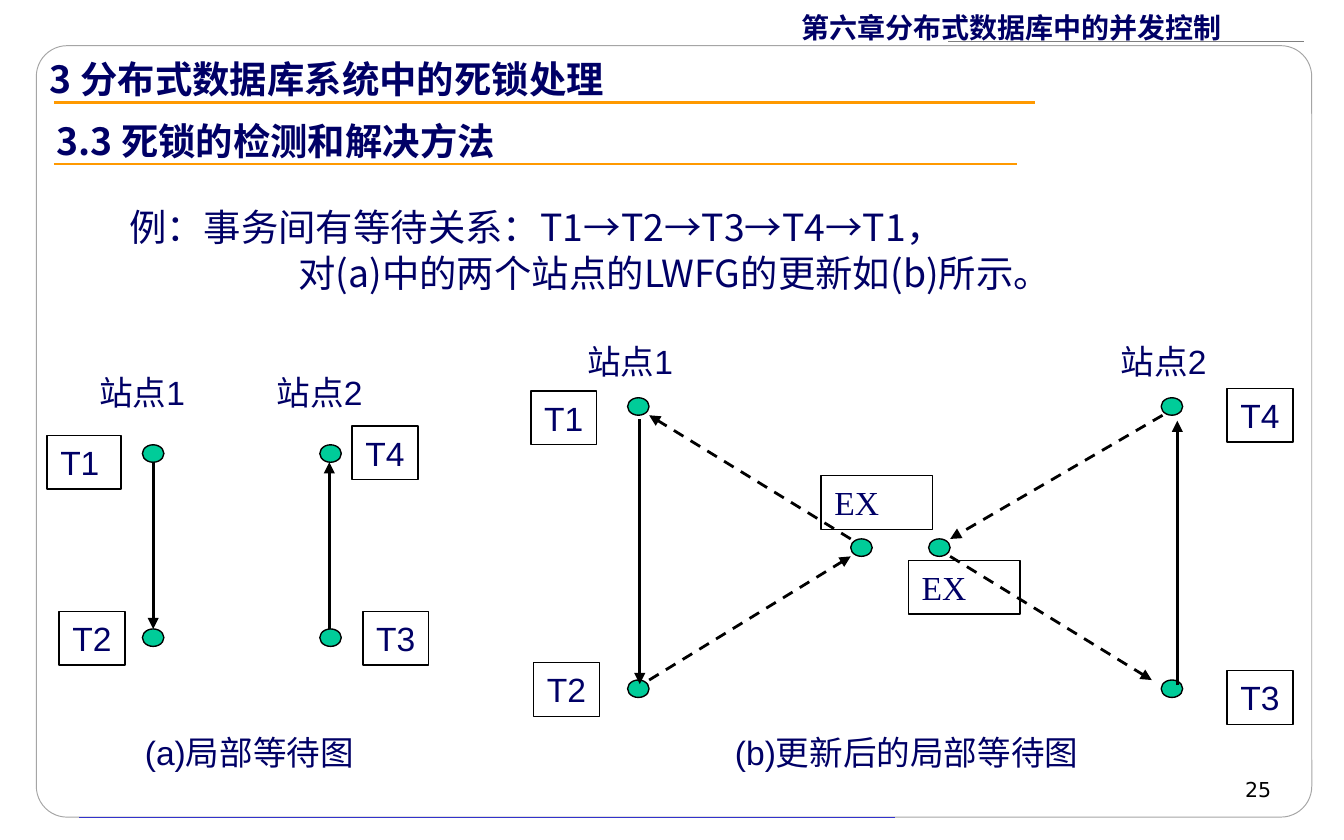
from lxml.etree import SubElement as Sub
from pptx import Presentation
from pptx.dml.color import RGBColor as RGB
from pptx.enum.dml import MSO_LINE as Dash
from pptx.enum.shapes import MSO_CONNECTOR as Conn, MSO_SHAPE as Form
from pptx.enum.text import MSO_ANCHOR as Anchor, MSO_AUTO_SIZE as Auto, PP_ALIGN as Align
from pptx.oxml.ns import qn
from pptx.util import Inches, Pt

# The grid has 100 columns and 62.5 rows of a tenth of an inch
COLS, ROWS = 100, 62.5
DOT_W, DOT_H = 1.6, 1.3
BOX_W, BOX_H = 4.9, 4
NOTO, ARIAL, TIMES = "Noto Sans CJK SC", "Arial", "Times New Roman"
HUE = {"navy": "000066", "black": "000000", "dot": "00CC99", "rule": "FF9900",
       "frame": "A5A5A5", "gray": "7F7F7F", "foot": "3333CC", "white": "FFFFFF"}
HEAD = {"size": Pt(20), "bold": True, "name": NOTO}
LEAD = {"size": Pt(20), "bold": False, "name": NOTO}
LABEL = {"size": Pt(18), "name": ARIAL}
EXT = {"size": Pt(18), "name": TIMES}


def cell(n):
    return Inches(n / 10)


def tint(name):
    return RGB.from_string(HUE[name])


def put(item, spot):
    for key, val in zip(("left", "top", "width", "height"), spot):
        setattr(item, key, cell(val))


def write(par, text, form, hue="navy"):
    run = par.add_run()
    run.text = text
    for key, val in form.items():
        setattr(run.font, key, val)
    run.font.color.rgb = tint(hue)
    Sub(run.font._element, qn("a:ea")).set("typeface", NOTO)


def setup(item, wrap=True, side=1):
    frame = item.text_frame
    form = {"word_wrap": wrap, "auto_size": Auto.NONE, "vertical_anchor": Anchor.TOP,
            "margin_left": cell(side), "margin_right": cell(side),
            "margin_top": cell(0.5), "margin_bottom": cell(0.5)}
    for key, val in form.items():
        setattr(frame, key, val)
    par = frame.paragraphs[0]
    par.alignment = Align.LEFT
    return par


def note(page, spot, text, form, hue="navy", wrap=True, side=1):
    item = page.shapes.add_textbox(*map(cell, spot))
    par = setup(item, wrap, side)
    write(par, text, form, hue)
    return par


def shape(page, kind, spot, fill=None, line="black", wide=0.75):
    item = page.shapes.add_shape(kind, *map(cell, spot))
    item.shadow.inherit = False
    if fill:
        item.fill.solid()
        item.fill.fore_color.rgb = tint(fill)
    else:
        item.fill.background()
    item.line.color.rgb = tint(line)
    item.line.width = Pt(wide)
    return item


def dot(page, x, y):
    shape(page, Form.OVAL, (x, y, DOT_W, DOT_H), "dot")


def box(page, x, y, text, form=LABEL, wide=BOX_W):
    item = shape(page, Form.RECTANGLE, (x, y, wide, BOX_H))
    write(setup(item, wide > BOX_W), text, form)


def rule(page, ends, hue="black", wide=1.5):
    item = page.shapes.add_connector(Conn.STRAIGHT, *map(cell, ends))
    item.line.color.rgb = tint(hue)
    item.line.width = Pt(wide)
    Sub(item._element.spPr, qn("a:effectLst"))
    return item


def arrow(page, ends, dash=False):
    item = rule(page, ends)
    if dash:
        item.line.dash_style = Dash.DASH
    Sub(item.line._get_or_add_ln(), qn("a:tailEnd")).set("type", "triangle")


def frame(page):
    # Rounded frame behind everything, header, footer and page number
    item = shape(page, Form.ROUNDED_RECTANGLE, (2.7, 3.4, 94.9, 57.4), "white", "frame", 0.5)
    item.adjustments[0] = 0.04
    page.shapes._spTree.insert(2, item._element)
    rule(page, (5.9, 60.8, 66.6, 60.8), "foot", 0.25)
    form = {"size": Pt(15), "bold": True}
    par = note(page, (58.7, 0.3, 37.8, 3.4), "第六章", {**form, "name": NOTO}, side=0.9)
    write(par, "分布式数据库中的并发控制", {**form, "name": TIMES})
    rule(page, (97, 3.1, 70.5, 3.1), "gray", 0.75)
    par = note(page, (70.5, 57.3, 25, 2.3), "25",
               {"size": Pt(11), "name": "DejaVu Sans"}, "black", side=0.9)
    par.alignment = Align.RIGHT


def heads(page):
    title = page.shapes.title
    put(title, (2.7, 3.7, 79.9, 4.4))
    write(setup(title), "3 分布式数据库系统中的死锁处理", HEAD)
    note(page, (3.2, 8.3, 79.9, 4.4), "3.3 死锁的检测和解决方法", HEAD)
    for end, y in ((77, 7.6), (75.7, 12.2)):
        rule(page, (4, y, end, y), "rule")


def lead(page):
    # Example text, the second line set further in
    body = page.placeholders[1]
    put(body, (6.7, 15.1, 86.6, 8.7))
    first = setup(body, side=0.9)
    lines = ((first, "例：事务间有等待关系：T1→T2→T3→T4→T1，", 2, 0),
             (body.text_frame.add_paragraph(), "对(a)中的两个站点的LWFG的更新如(b)所示。", 14.6, 3))
    for par, text, left, gap in lines:
        prop = par._p.get_or_add_pPr()
        prop.set("marL", str(cell(left)))
        prop.set("indent", "0")
        Sub(prop, qn("a:buNone"))
        par.line_spacing, par.space_before = 0.9, Pt(gap)
        write(par, text, LEAD)


def local(page):
    # (a) Two separate sites
    top, low = 33.1, 46.8
    for x, name in ((10.6, "站点1"), (23.8, "站点2")):
        for y in (top, low):
            dot(page, x, y)
        note(page, (x - 4.2, 27.2, 9, 4), name, LABEL, wrap=False)
    arrow(page, (11.4, top + DOT_H, 11.4, low))
    arrow(page, (24.5, low, 24.5, top + DOT_H))
    box(page, 3.5, 32.4, "T1", wide=5.5)
    for x, y, name in ((4.4, 45.5, "T2"), (26.2, 31.7, "T4"), (27, 45.5, "T3")):
        box(page, x, y, name)
    note(page, (9.8, 54, 19.7, 4), "(a)局部等待图", LABEL)


def joint(page):
    # (b) Sites linked through external nodes
    for x, mid, name in ((46.7, 63.3, "站点1"), (86.4, 69.1, "站点2")):
        for y in (29.6, 50.6):
            dot(page, x, y)
        dot(page, mid, 40.1)
        note(page, (x - 4, 24.9, 9, 4), name, LABEL, wrap=False)
    arrow(page, (47.6, 31.2, 47.6, 50.9))
    arrow(page, (87.6, 51, 87.6, 31.3))
    for ends in ((48.3, 50.6, 63.3, 41.4), (63.3, 40.1, 48.3, 30.9),
                 (86.5, 30.9, 70.7, 40.1), (70.7, 41.4, 85.7, 50.6)):
        arrow(page, ends, True)
    for x, y, name in ((39.5, 29.1, "T1"), (39.7, 49.3, "T2"),
                       (91.3, 28.9, "T4"), (91.3, 49.9, "T3")):
        box(page, x, y, name)
    for x, y in ((61.1, 35.4), (67.6, 41.7)):
        box(page, x, y, "EX", EXT, 8.3)
    note(page, (53.7, 54, 31, 4), "(b)更新后的局部等待图", LABEL)


def main():
    deck = Presentation()
    deck.slide_width, deck.slide_height = cell(COLS), cell(ROWS)
    page = deck.slides.add_slide(deck.slide_layouts[1])
    for part in (frame, heads, lead, local, joint):
        part(page)
    deck.save("out.pptx")


if __name__ == "__main__":
    main()
